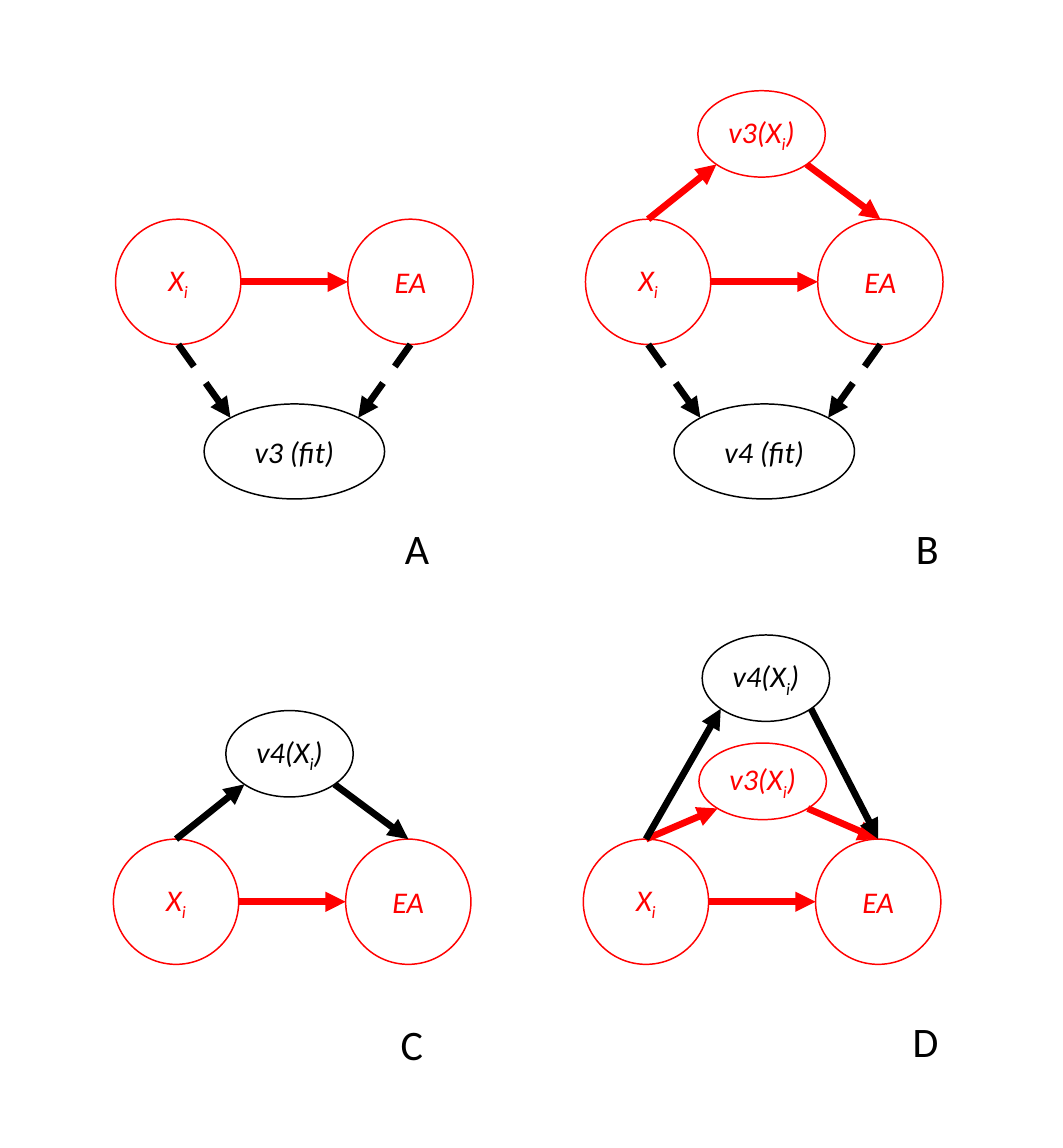
"""Build a slide of four causal diagrams linking Xi and EA, labelled A to D."""
from dataclasses import dataclass

from lxml import etree
from pptx import Presentation
from pptx.dml.color import RGBColor
from pptx.enum.dml import MSO_LINE
from pptx.enum.shapes import MSO_CONNECTOR, MSO_SHAPE
from pptx.enum.text import MSO_ANCHOR, MSO_AUTO_SIZE, PP_ALIGN
from pptx.oxml.ns import qn
from pptx.util import Inches, Pt

OVAL = MSO_SHAPE.OVAL
STRAIGHT = MSO_CONNECTOR.STRAIGHT
DASH = MSO_LINE.DASH
MIDDLE = MSO_ANCHOR.MIDDLE
CENTER, LEFT = PP_ALIGN.CENTER, PP_ALIGN.LEFT
FIT_SHAPE = MSO_AUTO_SIZE.SHAPE_TO_FIT_TEXT


@dataclass(frozen=True)
class Theme:
    red: RGBColor = RGBColor(255, 0, 0)
    black: RGBColor = RGBColor(0, 0, 0)
    font: str = "Calibri"
    node_size: Pt = Pt(20)
    label_size: Pt = Pt(28)
    outline: Pt = Pt(1)
    arrow: Pt = Pt(4.5)


theme = Theme()


def write_text(shape, text, *, size, color, italic=False, align=LEFT):
    """Fill a shape with text in which underscores enclose subscripts."""
    paragraph = shape.text_frame.paragraphs[0]
    paragraph.alignment = align
    for index, part in enumerate(text.split("_")):
        run = paragraph.add_run()
        run.text = part
        run.font.name = theme.font
        run.font.size = size
        run.font.italic = italic
        run.font.color.rgb = color
        if index % 2:
            run.font._element.set("baseline", "-25000")


def add_arrow(start, end, color, dash=None):
    """Draw a thick arrow between two points given in inches."""
    connector = slide.shapes.add_connector(STRAIGHT, *map(Inches, start + end))
    connector.line.color.rgb = color
    connector.line.width = theme.arrow
    if dash:
        connector.line.dash_style = dash
    line = connector.line._get_or_add_ln()
    etree.SubElement(line, qn("a:tailEnd"), type="triangle")
    etree.SubElement(connector._element.spPr, qn("a:effectLst"))


presentation = Presentation()
presentation.slide_width = Inches(9.84)
presentation.slide_height = Inches(10.63)
slide = presentation.slides.add_slide(presentation.slide_layouts[6])

CIRCLE = 1.16
RADIUS = CIRCLE / 2
EA_OFFSET = 2.15
FIT_OFFSET, FIT_DROP, FIT_WIDTH, FIT_HEIGHT = 0.82, 1.71, 1.67, 0.88
VIA_WIDTH = 1.18
DIAGONAL = 0.146

panels = [
    ("A", (1.07, 2.03), (3.65, 4.79), "v3 (fit)", []),
    ("B", (5.42, 2.03), (8.38, 4.79), "v4 (fit)",
     [("v3(X_i_)", 1.04, 0.84, 0.8, theme.red)]),
    ("C", (1.05, 7.77), (3.61, 9.38), None,
     [("v4(X_i_)", 1.04, 6.58, 0.8, theme.black)]),
    ("D", (5.4, 7.77), (8.35, 9.35), None,
     [("v3(X_i_)", 1.07, 6.88, 0.71, theme.red),
      ("v4(X_i_)", 1.1, 5.88, 0.8, theme.black)]),
]

for label, (left, top), label_position, fit_text, mediators in panels:
    ea_left = left + EA_OFFSET
    cause_x, effect_x = left + RADIUS, ea_left + RADIUS
    middle, bottom = top + RADIUS, top + CIRCLE

    nodes = [
        ("X_i_", left, top, CIRCLE, CIRCLE, theme.red),
        ("EA", ea_left, top, CIRCLE, CIRCLE, theme.red),
    ]
    arrows = [((left + CIRCLE, middle), (ea_left, middle), theme.red)]

    if fit_text:
        fit_left, fit_top = left + FIT_OFFSET, top + FIT_DROP
        nodes.append((fit_text, fit_left, fit_top, FIT_WIDTH, FIT_HEIGHT, theme.black))
        inset = FIT_WIDTH * DIAGONAL
        fit_y = fit_top + FIT_HEIGHT * DIAGONAL
        arrows += [
            ((cause_x, bottom), (fit_left + inset, fit_y), theme.black, DASH),
            ((effect_x, bottom), (fit_left + FIT_WIDTH - inset, fit_y), theme.black, DASH),
        ]

    for text, offset, via_top, via_height, color in mediators:
        via_left = left + offset
        nodes.append((text, via_left, via_top, VIA_WIDTH, via_height, color))
        inset = VIA_WIDTH * DIAGONAL
        via_y = via_top + via_height * (1 - DIAGONAL)
        arrows += [
            ((cause_x, top), (via_left + inset, via_y), color),
            ((via_left + VIA_WIDTH - inset, via_y), (effect_x, top), color),
        ]

    for text, *box, color in nodes:
        node = slide.shapes.add_shape(OVAL, *map(Inches, box))
        node.shadow.inherit = False
        node.fill.background()
        node.line.color.rgb = color
        node.line.width = theme.outline
        frame = node.text_frame
        frame.vertical_anchor = MIDDLE
        frame.margin_left = frame.margin_right = Inches(0.04)
        frame.margin_top = frame.margin_bottom = Inches(0.04)
        write_text(node, text, size=theme.node_size, color=color, italic=True, align=CENTER)

    for arrow in arrows:
        add_arrow(*arrow)

    label_box = slide.shapes.add_textbox(*map(Inches, label_position + (0.43, 0.57)))
    label_box.text_frame.word_wrap = False
    label_box.text_frame.auto_size = FIT_SHAPE
    write_text(label_box, label, size=theme.label_size, color=theme.black)

presentation.save("out.pptx")
